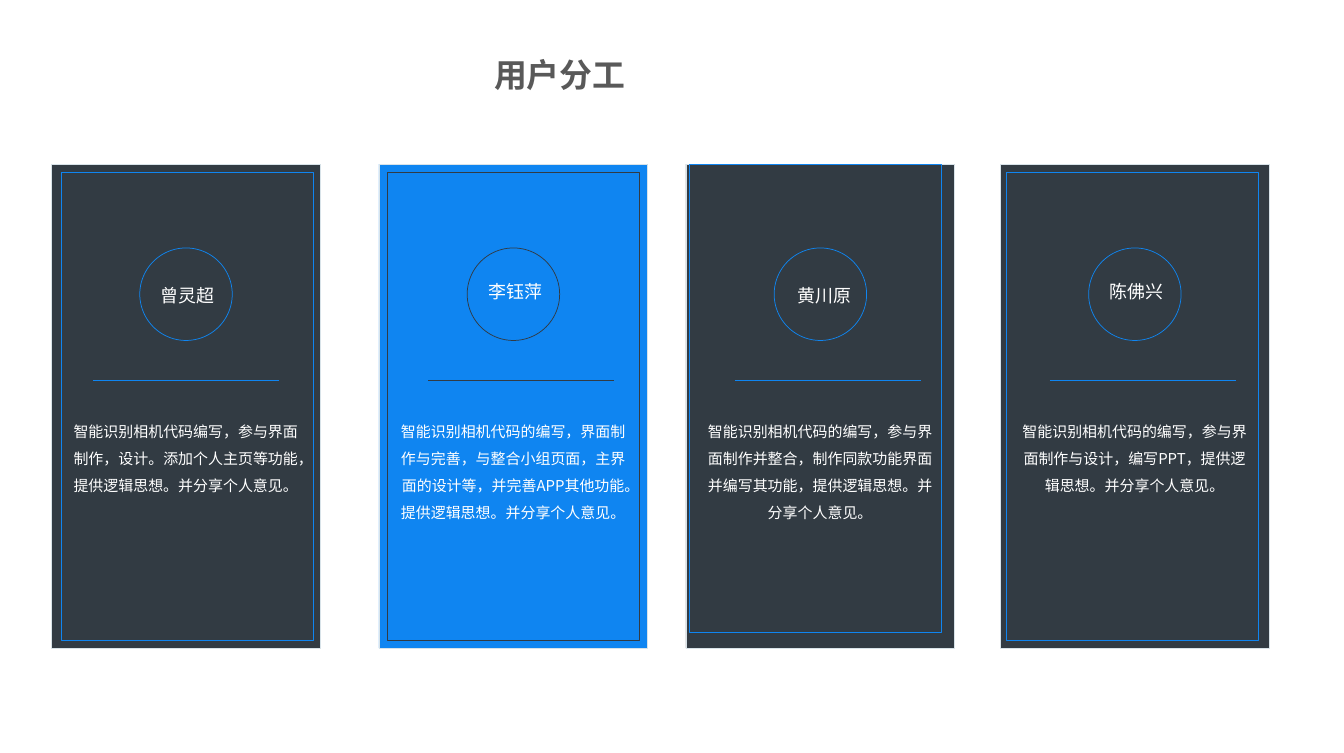
from dataclasses import dataclass

from lxml import etree
from pptx import Presentation
from pptx import util as u
from pptx.dml.color import RGBColor
from pptx.enum import shapes, text
from pptx.oxml.ns import qn

FONT = "Noto Sans CJK SC"
DARK, BLUE, WHITE = "323B43", "0F85F1", "FFFFFF"
CARD_BORDER, TITLE_GREY = "D8E3E9", "595959"
CARD_TOP, CARD_WIDTH, CARD_HEIGHT = 3.05, 5, 9
CIRCLE_SIZE = 1.72
RULE_TOP, RULE_LENGTH = 7.06, 3.46


@dataclass
class Member:
    name: str
    duties: str
    left: float
    duties_height: float
    frame_left: float
    frame_top: float = 3.21
    name_top: float = 4.74
    name_shift: float = 0
    rule_offset: float = 0.92
    fill: str = DARK
    accent: str = BLUE


MEMBERS = [
    Member("曾灵超",
           "智能识别相机代码编写，参与界面制作，设计。添加个人主页等功能，"
           "提供逻辑思想。并分享个人意见。",
           0.96, 1.62, 1.14, name_top=4.8, rule_offset=0.77),
    Member("李钰萍",
           "智能识别相机代码的编写，界面制作与完善，与整合小组页面，"
           "主界面的设计等，并完善APP其他功能。提供逻辑思想。并分享个人意见。",
           7.05, 2.57, 7.21, fill=BLUE, accent=DARK),
    Member("黄川原",
           "智能识别相机代码的编写，参与界面制作并整合，制作同款功能界面"
           "并编写其功能，提供逻辑思想。并分享个人意见。",
           12.76, 2.57, 12.83, frame_top=3.06, name_top=4.8, name_shift=0.04),
    Member("陈佛兴",
           "智能识别相机代码的编写，参与界面制作与设计，编写PPT，"
           "提供逻辑思想。并分享个人意见。",
           18.61, 2.12, 18.72),
]


def color(value):
    return RGBColor.from_string(value)


def inches(*lengths):
    return [u.Inches(length) for length in lengths]


def add_outline(parent, kind, box, line, fill=None):
    shape = parent.add_shape(kind, *inches(*box))
    shape.shadow.inherit = False
    if kind == shapes.MSO_SHAPE.ROUNDED_RECTANGLE:
        shape.adjustments[0] = 0
    if fill:
        shape.fill.solid()
        shape.fill.fore_color.rgb = color(fill)
    else:
        shape.fill.background()
    shape.line.color.rgb = color(line)
    shape.line.width = u.Pt(1)


def add_rule(parent, left, line):
    rule = parent.add_connector(
        shapes.MSO_CONNECTOR.STRAIGHT,
        *inches(left, RULE_TOP, left + RULE_LENGTH, RULE_TOP))
    rule.line.color.rgb = color(line)
    rule.line.width = u.Pt(0.5)
    etree.SubElement(rule._element.spPr, qn("a:effectLst"))


def add_text(parent, box, wording, size, spacing=1.5, fill=WHITE, bold=False,
             align=text.PP_ALIGN.CENTER):
    """Add a wrapped one-paragraph text box and return its text frame."""
    frame = parent.add_textbox(*inches(*box)).text_frame
    frame.word_wrap = True
    frame.text = wording
    paragraph = frame.paragraphs[0]
    paragraph.alignment = align
    paragraph.line_spacing = spacing
    font = paragraph.runs[0].font
    font.name = FONT
    font.size = u.Pt(size)
    font.bold = bold
    font.color.rgb = color(fill)
    etree.SubElement(font._element, qn("a:ea"), typeface=FONT)
    return frame


def add_title(slide):
    frame = add_text(slide.shapes, (1.62, 0.6, 22.28, 1.21), "用户分工", 44,
                     fill=TITLE_GREY, bold=True, align=text.PP_ALIGN.LEFT)
    frame.margin_left = u.Inches(7.57)
    frame.auto_size = text.MSO_AUTO_SIZE.SHAPE_TO_FIT_TEXT


def add_name(parent, member):
    box = (member.left + member.name_shift, member.name_top, CARD_WIDTH, 1.25)
    frame = add_text(parent, box, member.name, 24, spacing=1.3)
    frame.vertical_anchor = text.MSO_ANCHOR.MIDDLE
    frame.margin_left = u.Inches(0.07)
    frame.margin_top = frame.margin_right = frame.margin_bottom = 0


def add_card(slide, member):
    card = slide.shapes.add_group_shape().shapes
    rectangle = shapes.MSO_SHAPE.ROUNDED_RECTANGLE
    add_outline(card, rectangle,
                (member.left, CARD_TOP, CARD_WIDTH, CARD_HEIGHT),
                CARD_BORDER, member.fill)
    add_rule(card, member.left + member.rule_offset, member.accent)
    add_name(card, member)
    circle_left = member.left + (CARD_WIDTH - CIRCLE_SIZE) / 2
    add_outline(card, shapes.MSO_SHAPE.OVAL,
                (circle_left, 4.61, CIRCLE_SIZE, CIRCLE_SIZE), member.accent)
    duties = add_text(card, (member.left + 0.2, 7.64, 4.59, member.duties_height),
                      member.duties, 20)
    duties.auto_size = text.MSO_AUTO_SIZE.SHAPE_TO_FIT_TEXT
    add_outline(card, rectangle,
                (member.frame_left, member.frame_top, 4.68, 8.7), member.accent)


def main():
    presentation = Presentation()
    presentation.slide_width, presentation.slide_height = inches(25, 14)
    slide = presentation.slides.add_slide(presentation.slide_layouts[6])
    add_title(slide)
    for member in MEMBERS:
        add_card(slide, member)
    presentation.save("out.pptx")


if __name__ == "__main__":
    main()
